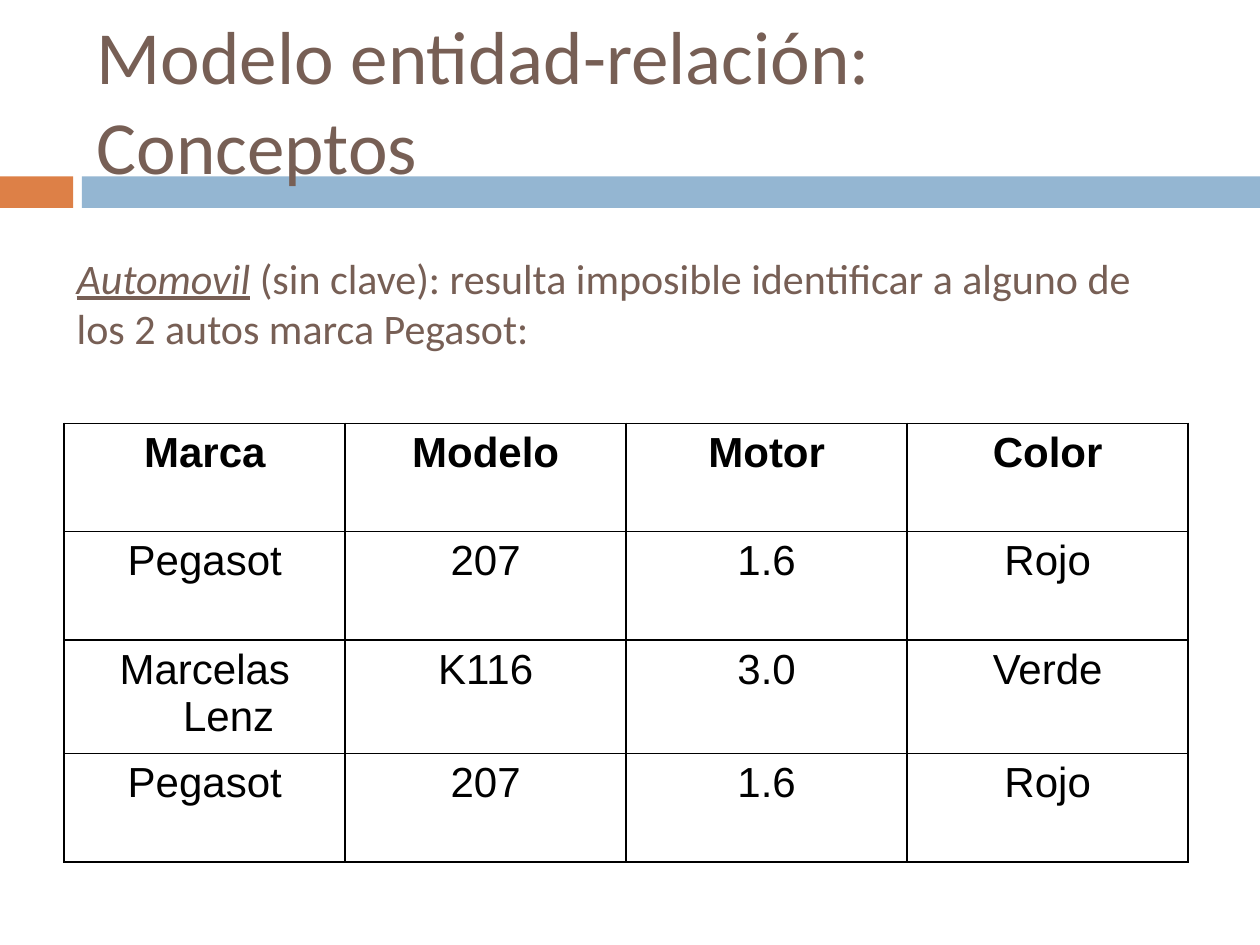
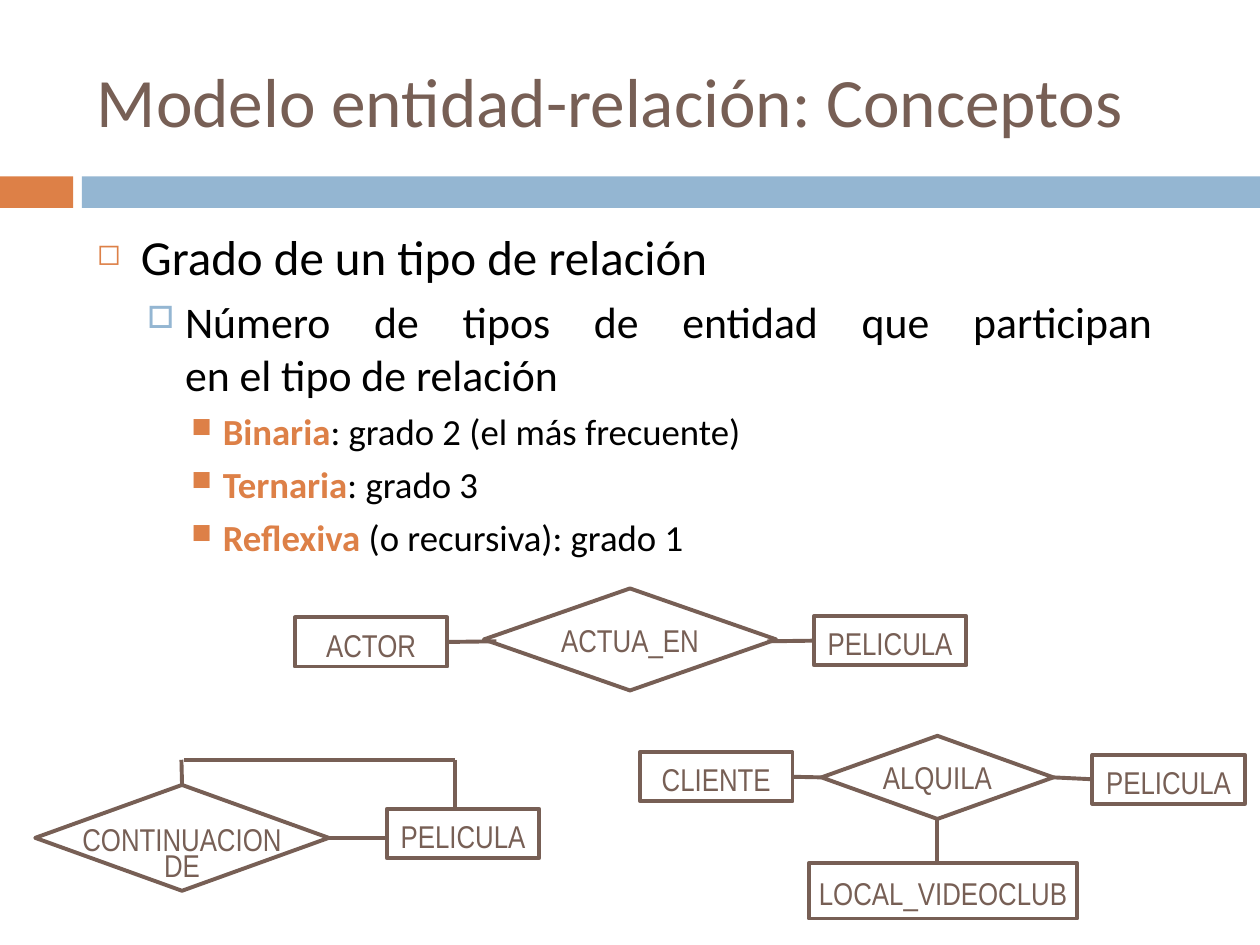
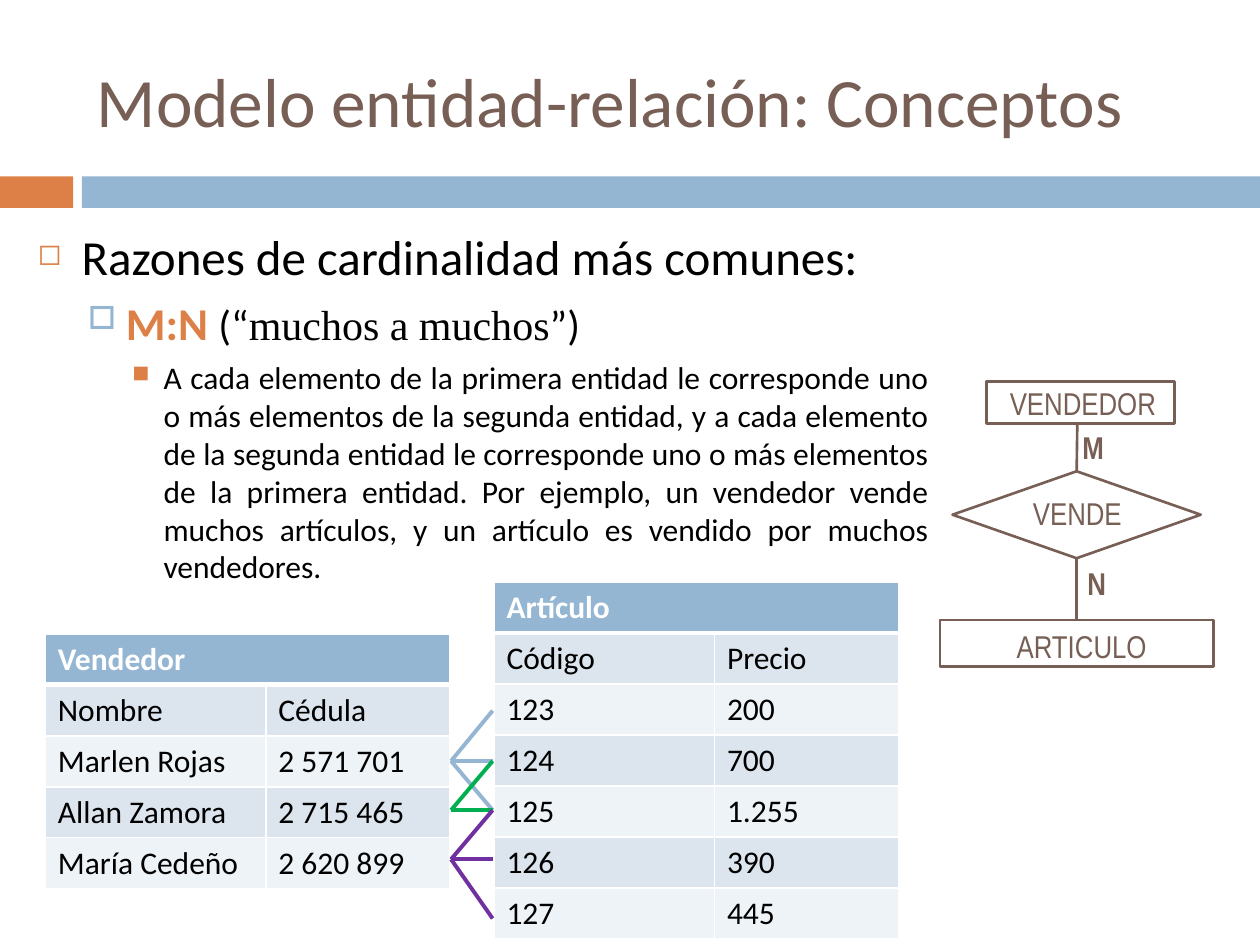
from dataclasses import dataclass
from typing import Any, NamedTuple, Optional, Union

from lxml import etree
from pptx import Presentation
from pptx.dml.color import RGBColor
from pptx.enum import shapes, text
from pptx.oxml import ns
from pptx.util import Inches, Pt

BROWN = RGBColor(0x77, 0x5F, 0x55)
ORANGE = RGBColor(0xDD, 0x80, 0x47)
BLUE = RGBColor(0x94, 0xB6, 0xD2)
MIST = RGBColor(0xDC, 0xE5, 0xEE)
PALE = RGBColor(0xEE, 0xF3, 0xF7)
GREEN = RGBColor(0x00, 0xB0, 0x50)
PURPLE = RGBColor(0x70, 0x30, 0xA0)
WHITE = RGBColor(0xFF, 0xFF, 0xFF)
BLACK = RGBColor(0, 0, 0)
SANS = "Calibri"
NARROW = "Arial Narrow"
TITLE = "Modelo entidad-relación: Conceptos"
RECT = shapes.MSO_SHAPE.RECTANGLE
RHOMB = shapes.MSO_SHAPE.DIAMOND
LEFT, CENTER, FULL = text.PP_ALIGN.LEFT, text.PP_ALIGN.CENTER, text.PP_ALIGN.JUSTIFY
TOP, MIDDLE = text.MSO_ANCHOR.TOP, text.MSO_ANCHOR.MIDDLE
PAD = (0.1, 0.05, 0.1, 0.05)
SNUG = (0, 0.05, 0, 0.01)
ZERO = (0, 0, 0, 0)


class Area(NamedTuple):
    x: float
    y: float
    w: float
    h: float


class Run(NamedTuple):
    text: str
    size: float
    color: RGBColor = BLACK
    font: str = SANS
    bold: bool = False
    slant: bool = False


class Level(NamedTuple):
    left: float
    hang: float
    before: float
    mark: str
    color: RGBColor
    scale: int


class Item(NamedTuple):
    level: int
    runs: list[Run]


class Point(NamedTuple):
    x: float
    y: float


class Port(NamedTuple):
    name: str
    side: int


End = Union[Point, Port]


class Link(NamedTuple):
    start: End
    stop: End
    color: RGBColor = BROWN


@dataclass
class Node:
    name: str
    area: Area
    label: str = ""
    kind: Any = RECT
    pad: tuple = SNUG
    fill: Optional[RGBColor] = None


@dataclass
class Note:
    area: Area
    lines: list[str]
    pad: tuple = PAD
    align: Any = CENTER
    bold: bool = False
    space: float = 1.0


LEVELS = [
    Level(0.35, 0.35, 7, "◻", ORANGE, 60),
    Level(0.7, 0.3, 5.5, "□", BLUE, 70),
    Level(1, 0.25, 5, "■", ORANGE, 75),
]
HEAD = Area(0.67, 0.25, 8.92, 1.08)


def place(area: Area) -> list:
    return [Inches(v) for v in area]


def sub(parent: Any, tag: str, **attrs: str) -> Any:
    return etree.SubElement(parent, ns.qn(tag), **attrs)


def write(para: Any, runs: list[Run]) -> None:
    for run in runs:
        for row, part in enumerate(run.text.split("\n")):
            if row:
                para.add_line_break()
            bit = para.add_run()
            bit.text = part
            font = bit.font
            font.size, font.name = Pt(run.size), run.font
            font.bold, font.italic, font.underline = run.bold, run.slant, run.slant
            font.color.rgb = run.color


def frame(shape: Any, pad: tuple = PAD, anchor: Any = MIDDLE, wrap: bool = True) -> Any:
    body = shape.text_frame
    body.margin_left, body.margin_top, body.margin_right, body.margin_bottom = [
        Inches(v) for v in pad
    ]
    body.vertical_anchor = anchor
    body.word_wrap = wrap
    return body


def indent(para: Any, left: float, hang: float) -> Any:
    props = para._p.get_or_add_pPr()
    props.set("marL", str(Inches(left)))
    props.set("indent", str(-Inches(hang)))
    return props


def prose(slide: Any, area: Area, runs: list[Run]) -> None:
    box = slide.shapes.add_textbox(*place(area))
    write(frame(box).paragraphs[0], runs)


def bullets(slide: Any, area: Area, items: list[Item]) -> None:
    body = frame(slide.shapes.add_textbox(*place(area)), anchor=TOP)
    for row, item in enumerate(items):
        para = body.add_paragraph() if row else body.paragraphs[0]
        style = LEVELS[item.level]
        para.level, para.alignment = item.level, FULL
        para.space_before = Pt(style.before)
        props = indent(para, style.left, style.hang)
        sub(sub(props, "a:buClr"), "a:srgbClr", val=str(style.color))
        sub(props, "a:buSzPct", val=str(style.scale * 1000))
        sub(props, "a:buChar", char=style.mark)
        write(para, item.runs)


def block(slide: Any, area: Area, kind: Any, fill: Optional[RGBColor]) -> Any:
    shape = slide.shapes.add_shape(kind, *place(area))
    shape.shadow.inherit = False
    shape.line.fill.background()
    if fill is None:
        shape.fill.background()
    else:
        shape.fill.solid()
        shape.fill.fore_color.rgb = fill
    return shape


def start(deck: Any) -> Any:
    slide = deck.slides.add_slide(deck.slide_layouts[6])
    block(slide, Area(0, 1.4, 0.58, 0.25), RECT, ORANGE)
    block(slide, Area(0.65, 1.4, 9.35, 0.25), RECT, BLUE)
    return slide


def title(slide: Any, size: float = 39.6) -> None:
    prose(slide, HEAD, [Run(TITLE, size, BROWN)])


def join(slide: Any, link: Link, nodes: dict, width: float) -> None:
    ends = [e if isinstance(e, Point) else Point(0, 0) for e in (link.start, link.stop)]
    line = slide.shapes.add_connector(
        shapes.MSO_CONNECTOR.STRAIGHT, *[Inches(v) for e in ends for v in e]
    )
    if isinstance(link.start, Port):
        line.begin_connect(nodes[link.start.name], link.start.side)
    if isinstance(link.stop, Port):
        line.end_connect(nodes[link.stop.name], link.stop.side)
    line.line.color.rgb, line.line.width = link.color, Pt(width)
    sub(line._element.spPr, "a:effectLst")


def diagram(slide: Any, nodes: list[Node], links: list[Link], notes: list[Note], width: float) -> None:
    made = {}
    for node in nodes:
        shape = block(slide, node.area, node.kind, node.fill)
        shape.line.color.rgb, shape.line.width = BROWN, Pt(width)
        made[node.name] = shape
        if node.label:
            para = frame(shape, node.pad, wrap=False).paragraphs[0]
            para.alignment = CENTER
            write(para, [Run(node.label, 18, BROWN, NARROW)])
    for link in links:
        join(slide, link, made, width)
    for note in notes:
        body = frame(slide.shapes.add_textbox(*place(note.area)), note.pad, TOP)
        for row, line in enumerate(note.lines):
            para = body.add_paragraph() if row else body.paragraphs[0]
            para.alignment, para.line_spacing = note.align, note.space
            write(para, [Run(line, 18, BROWN, NARROW, note.bold)])


def border(cell: Any, color: RGBColor, base: float = 1) -> None:
    props = cell._tc.get_or_add_tcPr()
    for tag, width in (("a:lnL", 1), ("a:lnR", 1), ("a:lnT", 1), ("a:lnB", base)):
        edge = sub(props, tag, w=str(Pt(width)))
        sub(sub(edge, "a:solidFill"), "a:srgbClr", val=str(color))


def grid(slide: Any, x: float, y: float, cols: list[float], high: float, count: int) -> Any:
    area = Area(x, y, sum(cols), high * count)
    table = slide.shapes.add_table(count, len(cols), *place(area)).table
    table.first_row = table.horz_banding = False
    for col, wide in zip(table.columns, cols):
        col.width = Inches(wide)
    for row in table.rows:
        row.height = Inches(high)
    return table


def cars(slide: Any, rows: list[list[str]]) -> None:
    table = grid(slide, 0.51, 3.36, [2.23] * 4, 0.86, len(rows))
    for r, row in enumerate(rows):
        for c, word in enumerate(row):
            cell = table.cell(r, c)
            border(cell, BLACK)
            cell.fill.background()
            cell.margin_left = cell.margin_right = Inches(0.11)
            para = cell.text_frame.paragraphs[0]
            para.alignment = CENTER
            indent(para, 0.38, 0.38)
            write(para, [Run(word, 24, font="Arial", bold=r == 0)])


def record(slide: Any, x: float, y: float, name: str, rows: list[tuple[str, str]]) -> None:
    table = grid(slide, x, y, [1.75, 1.46], 0.405, len(rows) + 1)
    table.cell(0, 0).merge(table.cell(0, 1))
    for r, row in enumerate([(name, ""), *rows]):
        for c, word in enumerate(row):
            cell = table.cell(r, c)
            border(cell, WHITE, 1 if r else 3)
            cell.fill.solid()
            cell.fill.fore_color.rgb = (MIST if r % 2 else PALE) if r else BLUE
            if word:
                color = BLACK if r else WHITE
                write(cell.text_frame.paragraphs[0], [Run(word, 18, color, bold=r == 0)])


def keys(deck: Any) -> None:
    slide = start(deck)
    prose(slide, Area(0.51, 1.86, 8.92, 1.08), [
        Run("Automovil", 24, BROWN, slant=True),
        Run(" (sin clave): resulta imposible identificar a alguno de los 2 autos marca Pegasot:", 24, BROWN),
    ])
    twin = ["Pegasot", "207", "1.6", "Rojo"]
    cars(slide, [
        ["Marca", "Modelo", "Motor", "Color"],
        twin,
        ["Marcelas Lenz", "K116", "3.0", "Verde"],
        twin,
    ])
    title(slide, 42.9)


def degree(deck: Any) -> None:
    slide = start(deck)
    kinds = [
        ("Binaria", ": grado 2 (el más frecuente)"),
        ("Ternaria", ": grado 3"),
        ("Reflexiva", " (o recursiva): grado 1"),
    ]
    bullets(slide, Area(0.67, 1.75, 8.92, 5.39), [
        Item(0, [Run("Grado de un tipo de relación", 28)]),
        Item(1, [Run("Número de tipos de entidad que participan \nen el tipo de relación", 25)]),
        *[Item(2, [Run(kind, 21, ORANGE, bold=True), Run(rest, 21)]) for kind, rest in kinds],
    ])
    wide, high = 1.21, 0.39
    nodes = [
        Node("actor", Area(2.34, 4.9, wide, high), "ACTOR", fill=WHITE),
        Node("film", Area(6.46, 4.89, wide, high), "PELICULA", fill=WHITE),
        Node("acts", Area(3.84, 4.67, 2.32, 0.81), "ACTUA_EN", RHOMB, ZERO, WHITE),
        Node("client", Area(5.08, 5.97, wide, high), "CLIENTE"),
        Node("rental", Area(8.67, 5.99, wide, high), "PELICULA"),
        Node("shop", Area(6.42, 6.85, 2.13, 0.44), "LOCAL_VIDEOCLUB"),
        Node("rents", Area(6.52, 5.84, 1.84, 0.66), "ALQUILA", RHOMB, (0, 0.01, 0, 0.01), WHITE),
        Node("sequel", Area(3.07, 6.42, wide, high), "PELICULA", fill=WHITE),
        Node("follows", Area(0.28, 6.23, 2.33, 0.84), kind=RHOMB, fill=WHITE),
    ]
    links = [
        Link(Port("actor", 3), Point(3.94, 5.09)),
        Link(Point(6.09, 5.09), Port("film", 1)),
        Link(Port("client", 3), Port("rents", 1)),
        Link(Port("rents", 3), Port("rental", 1)),
        Link(Port("rents", 2), Point(7.44, 6.85)),
        Link(Point(3.61, 6.03), Point(3.61, 6.42)),
        Link(Point(1.46, 6.03), Point(3.61, 6.03)),
        Link(Point(1.44, 6.03), Port("follows", 0)),
        Link(Port("follows", 3), Point(3.07, 6.65)),
    ]
    notes = [Note(Area(0.53, 6.54, 1.83, 0.52), ["CONTINUACION", "DE"], space=0.7)]
    diagram(slide, nodes, links, notes, 2.25)
    title(slide)


def ratio(deck: Any) -> None:
    slide = start(deck)
    bullets(slide, Area(0.2, 1.75, 7.27, 5.39), [
        Item(0, [Run("Razones de cardinalidad más comunes:", 28)]),
        Item(1, [
            Run("M:N ", 26, ORANGE, bold=True),
            Run("(“", 24),
            Run("muchos a muchos", 24, font="Times New Roman"),
            Run("”)", 24),
        ]),
        Item(2, [Run(
            "A cada elemento de la primera entidad le corresponde uno o más elementos "
            "de la segunda entidad, y a cada elemento de la segunda entidad le corresponde "
            "uno o más elementos de la primera entidad. Por ejemplo, un vendedor vende "
            "muchos artículos, y un artículo es vendido por muchos vendedores.", 18)]),
    ])
    title(slide)
    nodes = [
        Node("seller", Area(7.83, 3.03, 1.49, 0.33), "VENDEDOR", pad=(0.08, 0.01, 0.04, 0.01)),
        Node("goods", Area(7.46, 4.92, 2.17, 0.37), "ARTICULO", pad=(0.08, 0.05, 0, 0.01)),
        Node("sells", Area(7.56, 3.74, 1.97, 0.69), kind=RHOMB, fill=WHITE),
    ]
    links = [
        Link(Point(8.55, 3.36), Port("sells", 0)),
        Link(Port("sells", 2), Port("goods", 0)),
    ]
    notes = [
        Note(Area(8.59, 3.35, 0.46, 0.37), ["M"], SNUG, LEFT, True),
        Note(Area(8.09, 3.87, 0.92, 0.4), ["VENDE"]),
        Note(Area(8.63, 4.43, 0.46, 0.37), ["N"], SNUG, LEFT, True),
    ]
    diagram(slide, nodes, links, notes, 1.5)
    record(slide, 0.36, 5.03, "Vendedor", [
        ("Nombre", "Cédula"),
        ("Marlen Rojas", "2 571 701"),
        ("Allan Zamora", "2 715 465"),
        ("María Cedeño", "2 620 899"),
    ])
    record(slide, 3.92, 4.62, "Artículo", [
        ("Código", "Precio"),
        ("123", "200"),
        ("124", "700"),
        ("125", "1.255"),
        ("126", "390"),
        ("127", "445"),
    ])
    sales = [
        (6.04, BLUE, [5.64, 6.04, 6.43]),
        (6.43, GREEN, [6.04, 6.43]),
        (6.82, PURPLE, [6.43, 6.82, 7.29]),
    ]
    for y, color, goals in sales:
        for goal in goals:
            join(slide, Link(Point(3.58, y), Point(3.91, goal), color), {}, 2.25)


def main() -> None:
    deck = Presentation()
    deck.slide_width, deck.slide_height = Inches(10), Inches(7.5)
    for make in (keys, degree, ratio):
        make(deck)
    deck.save("out.pptx")


if __name__ == "__main__":
    main()
